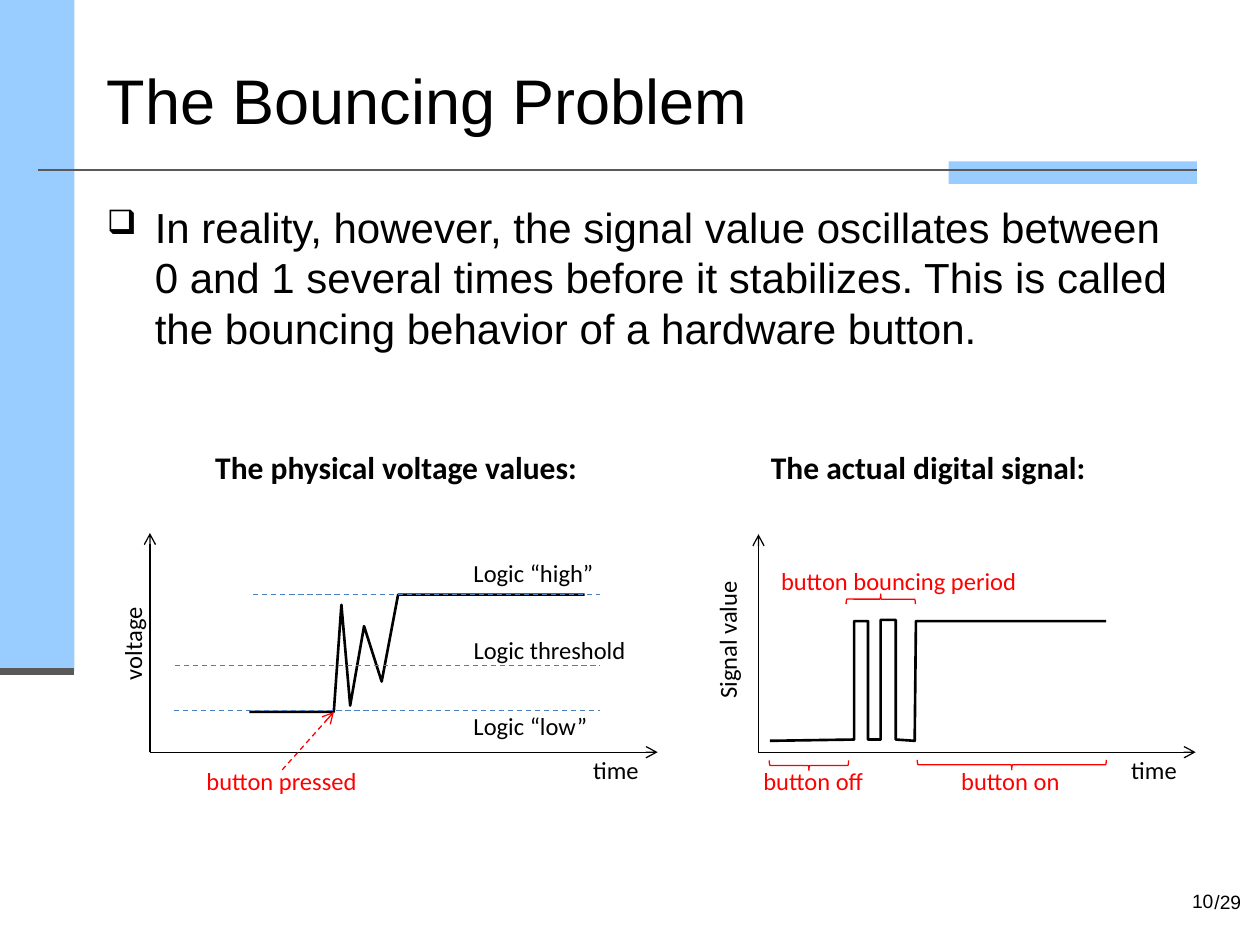
from lxml import etree
from pptx import Presentation
from pptx import util as u
from pptx.dml.color import RGBColor
from pptx.enum import dml, shapes, text
from pptx.oxml.ns import qn

BLACK, GREY, RED, BLUE, SKY = "000000", "595959", "FF0000", "4B7EBC", "99CCFF"


def color(value):
    return RGBColor.from_string(value)


def place(*lengths):
    return [u.Inches(length) for length in lengths]


def write(shape, words, size=14, font="Calibri", fill=BLACK, bold=False, wrap=False,
          align=text.PP_ALIGN.LEFT, anchor=text.MSO_ANCHOR.TOP, bullet=None):
    """Put one formatted paragraph into a shape."""
    frame = shape.text_frame
    frame.word_wrap = wrap
    frame.auto_size = text.MSO_AUTO_SIZE.NONE if wrap else text.MSO_AUTO_SIZE.SHAPE_TO_FIT_TEXT
    frame.vertical_anchor = anchor
    paragraph = frame.paragraphs[0]
    paragraph.alignment = align
    if bullet:
        indent = u.Inches(0.38)
        properties = paragraph._p.get_or_add_pPr()
        properties.set("marL", str(indent))
        properties.set("indent", str(-indent))
        etree.SubElement(properties, qn("a:buSzPct"), val="80000")
        etree.SubElement(properties, qn("a:buChar"), char=bullet)
    run = paragraph.add_run()
    run.text = words
    run.font.size = u.Pt(size)
    run.font.name = font
    run.font.bold = bold
    run.font.color.rgb = color(fill)


class Drawing:
    """Holds the current slide and the style of its elements."""

    thin, thick = 0.75, 1.5

    def __init__(self, slide):
        self.slide = slide
        self.shapes = slide.shapes

    def rectangle(self, box, fill):
        shape = self.shapes.add_shape(shapes.MSO_SHAPE.RECTANGLE, *place(*box))
        shape.shadow.inherit = False
        shape.fill.solid()
        shape.fill.fore_color.rgb = color(fill)
        shape.line.fill.background()
        return shape

    def label(self, words, box, rotation=0, **style):
        shape = self.shapes.add_textbox(*place(*box))
        shape.rotation = rotation
        write(shape, words, **style)

    def heading(self, words, box):
        write(self.rectangle(box, "FFFFFF"), words, size=18, bold=True)

    def line(self, start, end, stroke=BLACK, width=thin, dashed=False, arrow=False):
        connector = self.shapes.add_connector(
            shapes.MSO_CONNECTOR.STRAIGHT, *place(*start, *end))
        etree.SubElement(connector._element.spPr, qn("a:effectLst"))
        connector.line.color.rgb = color(stroke)
        connector.line.width = u.Pt(width)
        if dashed:
            connector.line.dash_style = dml.MSO_LINE.DASH
        if arrow:
            etree.SubElement(connector.line._get_or_add_ln(), qn("a:tailEnd"), type="arrow")

    def signal(self, points):
        start, *rest = [place(*point) for point in points]
        builder = self.shapes.build_freeform(*start)
        builder.add_line_segments(rest, close=False)
        self.outline(builder.convert_to_shape(), BLACK, self.thick)

    def brace(self, box, rotation):
        shape = self.shapes.add_shape(shapes.MSO_SHAPE.RIGHT_BRACE, *place(*box))
        shape.rotation = rotation
        self.outline(shape, RED, self.thin)

    def outline(self, shape, stroke, width):
        shape.shadow.inherit = False
        shape.fill.background()
        shape.line.color.rgb = color(stroke)
        shape.line.width = u.Pt(width)


def frame_parts(drawing):
    # Side bar, title rule and page number
    drawing.rectangle((7.53, 1.28, 1.97, 0.18), SKY)
    drawing.rectangle((0, 0, 0.59, 5.33), SKY)
    drawing.line((0, 5.33), (0.59, 5.33), GREY, 4)
    drawing.line((0.3, 1.35), (9.5, 1.35), GREY, 1.5)
    drawing.label("/29", (9.54, 7.02, 0.42, 0.29), size=11, font="Arial")
    drawing.label("10", (7.17, 6.95, 2.56, 0.4), size=11, font="Arial", wrap=True,
                  align=text.PP_ALIGN.RIGHT, anchor=text.MSO_ANCHOR.MIDDLE)

    # Title and statement
    drawing.label("The Bouncing Problem", (0.75, 0.3, 8.75, 0.98), size=36, font="Arial",
                  wrap=True, anchor=text.MSO_ANCHOR.MIDDLE)
    drawing.label("In reality, however, the signal value oscillates between 0 and 1 several "
                  "times before it stabilizes. This is called the bouncing behavior of a "
                  "hardware button.", (0.75, 1.55, 8.75, 5.15), size=24, font="Arial",
                  wrap=True, bullet="❑")


def axes(drawing, left, right, top, time_left):
    bottom = 5.97
    drawing.line((left, bottom), (left, top), arrow=True)
    drawing.line((left, bottom), (right, bottom), arrow=True)
    drawing.label("time", (time_left, 5.94, 0.57, 0.34))


def voltage_plot(drawing):
    drawing.heading("The physical voltage values:", (1.61, 3.51, 3.09, 0.4))
    axes(drawing, 1.19, 5.22, 4.23, 4.61)
    drawing.label("voltage", (0.66, 4.93, 0.79, 0.34), rotation=270)
    drawing.signal([(1.98, 5.65), (2.65, 5.65), (2.71, 4.8), (2.78, 5.6), (2.89, 4.97),
                    (3.03, 5.41), (3.16, 4.72), (4.64, 4.72)])

    # Logic levels
    for name, left, level, label_top, width in [("low", 1.38, 5.64, 5.59, 1.1),
                                                ("threshold", 1.39, 5.28, 4.99, 1.42),
                                                ("high", 2.01, 4.72, 4.38, 1.16)]:
        drawing.line((left, level), (4.76, level), BLUE, dashed=True)
        words = name if name == "threshold" else f"“{name}”"
        drawing.label(f"Logic {words}", (3.66, label_top, width, 0.34))

    # Moment of the press
    drawing.line((2.24, 6.11), (2.65, 5.65), RED, dashed=True, arrow=True)
    drawing.label("button pressed", (1.54, 6.03, 1.41, 0.34), fill=RED)


def digital_plot(drawing):
    drawing.heading("The actual digital signal:", (6.02, 3.51, 2.72, 0.4))
    axes(drawing, 6.02, 9.49, 4.24, 8.88)
    drawing.label("Signal value", (5.2, 4.9, 1.15, 0.34), rotation=270)
    drawing.signal([(6.11, 5.88), (6.78, 5.87), (6.78, 4.93), (6.89, 4.93), (6.89, 5.87),
                    (6.99, 5.87), (6.99, 4.92), (7.11, 4.92), (7.11, 5.87), (7.26, 5.88),
                    (7.27, 4.93), (8.78, 4.93)])

    # Braced periods
    for words, brace, rotation, box in [
            ("button off", (6.38, 5.76, 0.08, 0.63), 90, (5.96, 6.03, 1.01, 0.34)),
            ("button on", (7.99, 5.32, 0.08, 1.5), 90, (7.53, 6.03, 0.99, 0.34)),
            ("button bouncing period", (6.95, 4.48, 0.08, 0.55), 270, (6.1, 4.44, 2.09, 0.34))]:
        drawing.brace(brace, rotation)
        drawing.label(words, box, fill=RED)


def main():
    presentation = Presentation()
    presentation.slide_width, presentation.slide_height = place(10, 7.5)
    drawing = Drawing(presentation.slides.add_slide(presentation.slide_layouts[6]))
    frame_parts(drawing)
    voltage_plot(drawing)
    digital_plot(drawing)
    presentation.save("out.pptx")


if __name__ == "__main__":
    main()
